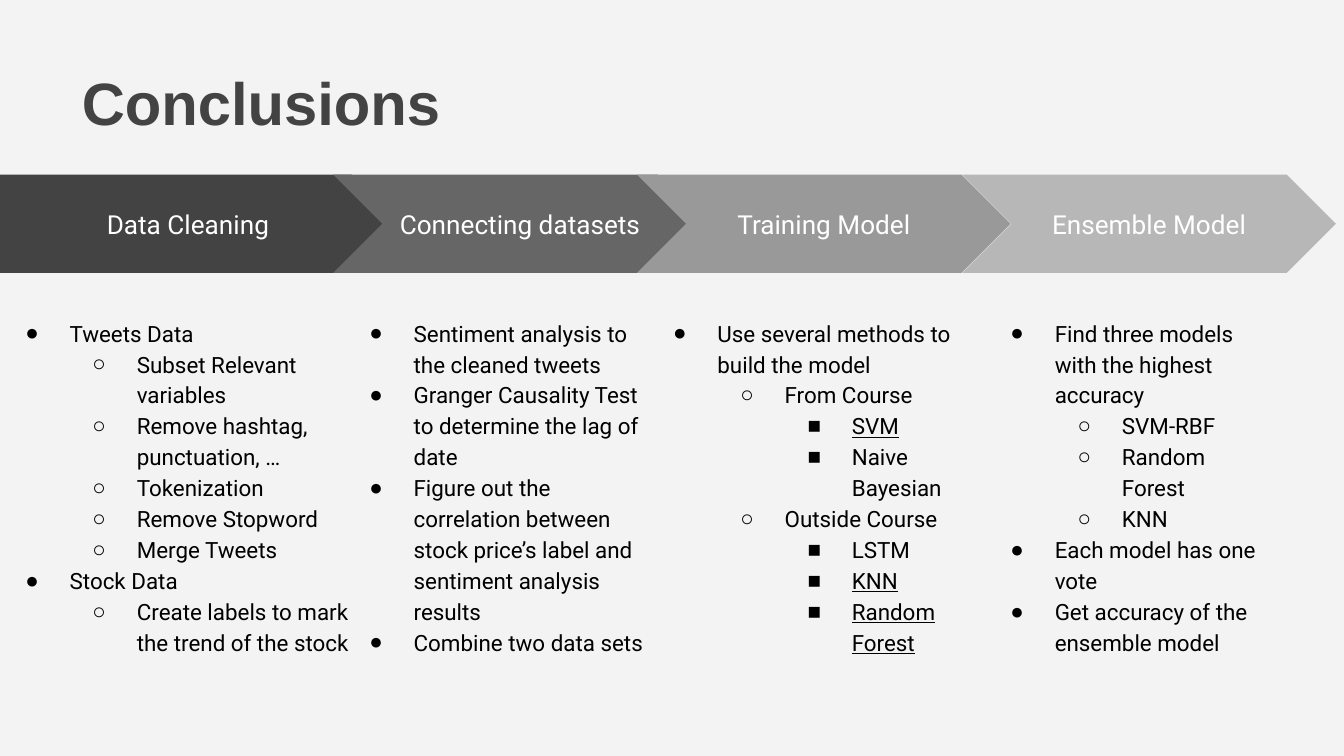
"""Build the Conclusions slide: four process arrows, each with a bulleted list."""
from lxml import etree
from pptx import Presentation
from pptx.dml.color import RGBColor
from pptx.enum.shapes import MSO_SHAPE
from pptx.enum.text import MSO_ANCHOR, PP_ALIGN
from pptx.oxml.ns import qn
from pptx.util import Inches, Pt

PENTAGON, CHEVRON = MSO_SHAPE.PENTAGON, MSO_SHAPE.CHEVRON
TOP, MIDDLE = MSO_ANCHOR.TOP, MSO_ANCHOR.MIDDLE
LEFT, CENTER = PP_ALIGN.LEFT, PP_ALIGN.CENTER

TITLE = "Conclusions"
TITLE_FORMAT = {"name": "Arial", "size": Pt(32), "bold": True}
STEP_FORMAT = {"name": "Roboto", "size": Pt(14)}
LIST_FORMAT = {"name": "Roboto", "size": Pt(12)}
BULLETS = "●○■"
BULLET_FONT = "Arial"
PAGE_WIDTH = 10
PAGE_HEIGHT = PAGE_WIDTH * 9 / 16
ARROW_TOP, ARROW_HEIGHT = 1.3, 0.73
LIST_TOP, LIST_HEIGHT = 2.25, 2.86
INDENT, HANGING = 0.5, 0.33
UNDERLINED = True

STEPS = [
    {"name": "Data Cleaning", "shape": PENTAGON, "fill": "434343",
     "arrow": (0, 2.98), "list": (-0.08, 2.83),
     "items": [(0, "Tweets Data"),
               (1, "Subset Relevant variables"),
               (1, "Remove hashtag, punctuation, …"),
               (1, "Tokenization"),
               (1, "Remove Stopword"),
               (1, "Merge Tweets"),
               (0, "Stock Data"),
               (1, "Create labels to mark the trend of the stock")]},
    {"name": "Connecting datasets", "shape": CHEVRON, "fill": "666666",
     "arrow": (2.48, 2.78), "list": (2.48, 2.44),
     "items": [(0, "Sentiment analysis to the cleaned tweets"),
               (0, "Granger Causality Test to determine the lag of date"),
               (0, "Figure out the correlation between stock price’s label "
                   "and sentiment analysis results"),
               (0, "Combine two data sets")]},
    {"name": "Training Model", "shape": CHEVRON, "fill": "999999",
     "arrow": (4.74, 2.78), "list": (4.74, 2.76),
     "items": [(0, "Use several methods to build the model"),
               (1, "From Course"),
               (2, "SVM", UNDERLINED),
               (2, "Naive Bayesian"),
               (1, "Outside Course"),
               (2, "LSTM"),
               (2, "KNN", UNDERLINED),
               (2, "Random Forest", UNDERLINED)]},
    {"name": "Ensemble Model", "shape": CHEVRON, "fill": "B7B7B7",
     "arrow": (7.16, 2.78), "list": (7.25, 2.2),
     "items": [(0, "Find three models with the highest accuracy"),
               (1, "SVM-RBF"),
               (1, "Random Forest"),
               (1, "KNN"),
               (0, "Each model has one vote"),
               (0, "Get accuracy of the ensemble model")]},
]


def paint(target, color):
    """Give a fill or font a solid colour."""
    target.solid()
    target.fore_color.rgb = RGBColor.from_string(color)


def prepare_frame(shape, anchor):
    """Set the wrapping, margins and anchor of a shape's text."""
    frame = shape.text_frame
    settings = {"word_wrap": True, "vertical_anchor": anchor}
    for side in ("left", "top", "right", "bottom"):
        settings["margin_" + side] = Inches(0.1)
    for name, value in settings.items():
        setattr(frame, name, value)
    return frame


def add_span(para, text, text_format, color):
    """Add formatted text to a paragraph."""
    span = para.add_run()
    span.text = text
    for name, value in text_format.items():
        setattr(span.font, name, value)
    paint(span.font.fill, color)
    return span


def set_bullet(para, level):
    """Indent a paragraph and give it the bullet of its level."""
    para.level = level
    para.line_spacing = 1.15
    properties = para._p.get_or_add_pPr()
    properties.set("marL", str(Inches(INDENT * (level + 1))))
    properties.set("indent", str(-Inches(HANGING)))
    bullet_color = etree.SubElement(properties, qn("a:buClr"))
    etree.SubElement(bullet_color, qn("a:srgbClr"), val="000000")
    etree.SubElement(properties, qn("a:buFont"), typeface=BULLET_FONT)
    etree.SubElement(properties, qn("a:buChar"), char=BULLETS[level])


def add_text_box(page, *place):
    """Add a text box and return its frame."""
    box = page.shapes.add_textbox(*map(Inches, place))
    return prepare_frame(box, TOP)


def add_arrow(page, step):
    """Draw the labelled arrow of a step."""
    left, width = step["arrow"]
    arrow = page.shapes.add_shape(
        step["shape"], *map(Inches, (left, ARROW_TOP, width, ARROW_HEIGHT)))
    arrow.adjustments[0] = 0.5
    arrow.shadow.inherit = False
    arrow.line.fill.background()
    paint(arrow.fill, step["fill"])
    para = prepare_frame(arrow, MIDDLE).paragraphs[0]
    para.alignment = CENTER
    add_span(para, step["name"], STEP_FORMAT, "FFFFFF")


def add_list(page, step):
    """Write the bulleted list of a step."""
    left, width = step["list"]
    frame = add_text_box(page, left, LIST_TOP, width, LIST_HEIGHT)
    for index, (level, text, *underline) in enumerate(step["items"]):
        para = frame.add_paragraph() if index else frame.paragraphs[0]
        para.alignment = LEFT
        set_bullet(para, level)
        span = add_span(para, text, LIST_FORMAT, "000000")
        span.font.underline = bool(underline)


def main():
    """Build and save the deck."""
    deck = Presentation()
    deck.slide_width, deck.slide_height = Inches(PAGE_WIDTH), Inches(PAGE_HEIGHT)
    page = deck.slides.add_slide(deck.slide_layouts[6])
    paint(page.background.fill, "F3F3F3")
    title = add_text_box(page, 0.51, 0.39, 3.75, 1.03)
    add_span(title.paragraphs[0], TITLE, TITLE_FORMAT, "434343")
    for step in STEPS:
        add_arrow(page, step)
        add_list(page, step)
    deck.save("out.pptx")


if __name__ == "__main__":
    main()
